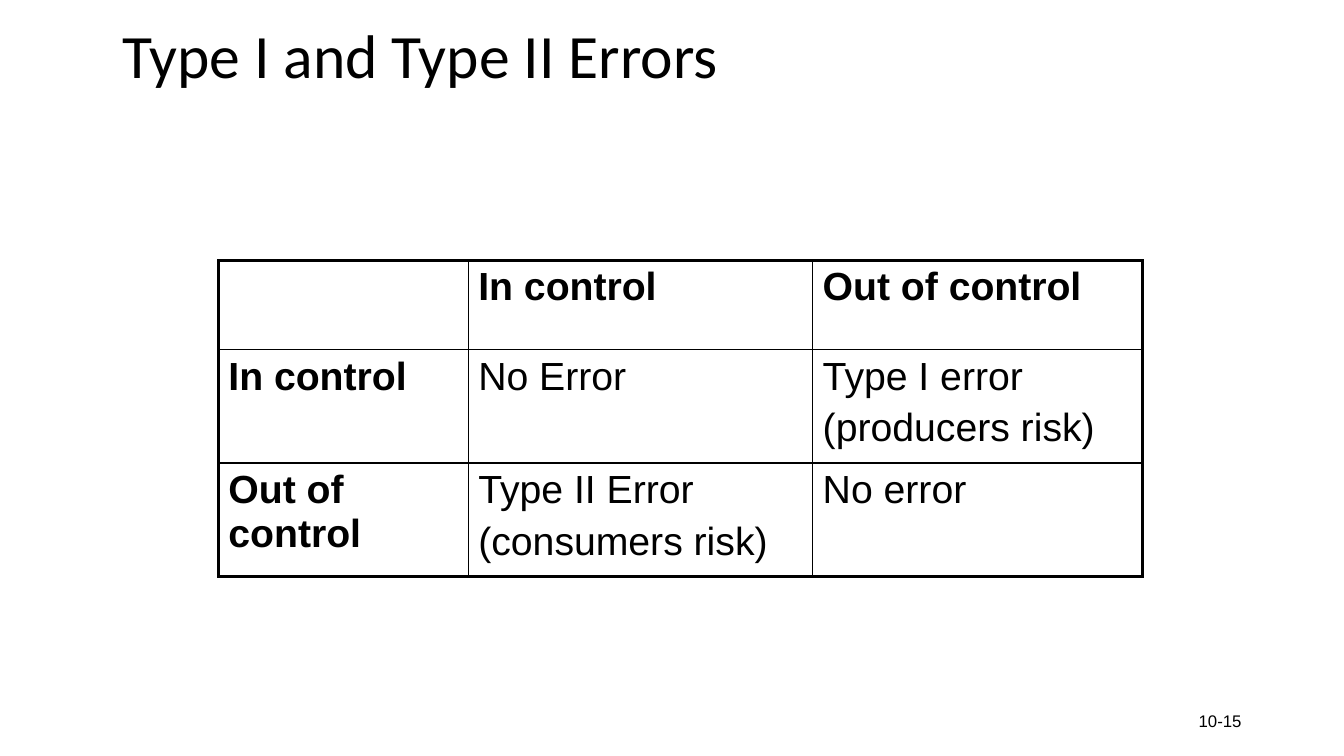
from dataclasses import dataclass

from lxml import etree
from pptx import Presentation
from pptx.dml.color import RGBColor
from pptx.enum.text import MSO_ANCHOR, PP_ALIGN
from pptx.oxml.ns import qn
from pptx.slide import Slide
from pptx.table import _Cell
from pptx.text.text import _Paragraph
from pptx.util import Pt

EMU_PER_PX = 9525
BLACK = RGBColor(0x00, 0x00, 0x00)
MIDDLE = MSO_ANCHOR.MIDDLE
LEFT = PP_ALIGN.LEFT
RIGHT = PP_ALIGN.RIGHT

OUTER_BORDER = Pt(2.25)
INNER_BORDER = Pt(1)
CELL_FONT_SIZE = 28
CELL_PARAGRAPH_GAP = Pt(5.6)


@dataclass(frozen=True)
class Label:
    text: str
    left: int
    top: int
    width: int
    height: int
    font_name: str
    font_size: int
    alignment: PP_ALIGN
    line_spacing: float


LABELS = [
    Label("Type I and Type II Errors", 107, -8, 1067, 128, "Calibri", 44, LEFT, 0.9),
    Label("10-15", 904, 667, 288, 38, "Arial", 12, RIGHT, 1.0),
]

TABLE_LEFT = 208
TABLE_TOP = 248
COLUMN_WIDTHS = [238, 328, 314]
ROW_HEIGHTS = [85, 108, 108]
ERROR_MATRIX = [
    [[], ["In control"], ["Out of control"]],
    [["In control"], ["No Error"], ["Type I error", "(producers risk)"]],
    [["Out of control"], ["Type II Error", "(consumers risk)"], ["No error"]],
]


def px(length: int) -> int:
    return length * EMU_PER_PX


def add_run(
    paragraph: _Paragraph, text: str, font_name: str, font_size: int, bold: bool = False
) -> None:
    run = paragraph.add_run()
    run.text = text
    run.font.name = font_name
    run.font.size = Pt(font_size)
    run.font.bold = bold
    run.font.color.rgb = BLACK


def add_label(slide: Slide, label: Label) -> None:
    shape = slide.shapes.add_textbox(
        px(label.left), px(label.top), px(label.width), px(label.height)
    )
    frame = shape.text_frame
    frame.word_wrap = True
    frame.vertical_anchor = MIDDLE
    paragraph = frame.paragraphs[0]
    paragraph.alignment = label.alignment
    paragraph.line_spacing = label.line_spacing
    add_run(paragraph, label.text, label.font_name, label.font_size)


def set_borders(cell: _Cell, row: int, column: int) -> None:
    properties = cell._tc.get_or_add_tcPr()
    is_outer = {
        "a:lnL": column == 0,
        "a:lnR": column == len(COLUMN_WIDTHS) - 1,
        "a:lnT": row == 0,
        "a:lnB": row == len(ROW_HEIGHTS) - 1,
    }
    for tag, outer in is_outer.items():
        width = OUTER_BORDER if outer else INNER_BORDER
        line = etree.SubElement(properties, qn(tag), w=str(width))
        fill = etree.SubElement(line, qn("a:solidFill"))
        etree.SubElement(fill, qn("a:srgbClr"), val=str(BLACK))


def fill_cell(cell: _Cell, lines: list[str], bold: bool) -> None:
    frame = cell.text_frame
    for index, text in enumerate(lines):
        if index == 0:
            paragraph = frame.paragraphs[0]
        else:
            paragraph = frame.add_paragraph()
            paragraph.space_before = CELL_PARAGRAPH_GAP
        add_run(paragraph, text, "Arial", CELL_FONT_SIZE, bold)


def add_error_table(slide: Slide) -> None:
    table = slide.shapes.add_table(
        len(ROW_HEIGHTS),
        len(COLUMN_WIDTHS),
        px(TABLE_LEFT),
        px(TABLE_TOP),
        px(sum(COLUMN_WIDTHS)),
        px(sum(ROW_HEIGHTS)),
    ).table
    table.first_row = False
    table.horz_banding = False
    for column, width in zip(table.columns, COLUMN_WIDTHS):
        column.width = px(width)
    for row, height in zip(table.rows, ROW_HEIGHTS):
        row.height = px(height)
    for row_index, row_lines in enumerate(ERROR_MATRIX):
        for column_index, lines in enumerate(row_lines):
            cell = table.cell(row_index, column_index)
            is_heading = row_index == 0 or column_index == 0
            set_borders(cell, row_index, column_index)
            cell.fill.background()
            fill_cell(cell, lines, is_heading)


def main() -> None:
    presentation = Presentation()
    presentation.slide_width = px(1280)
    presentation.slide_height = px(720)
    slide = presentation.slides.add_slide(presentation.slide_layouts[6])
    title, page_number = LABELS
    add_label(slide, title)
    add_error_table(slide)
    add_label(slide, page_number)
    presentation.save("out.pptx")


if __name__ == "__main__":
    main()
